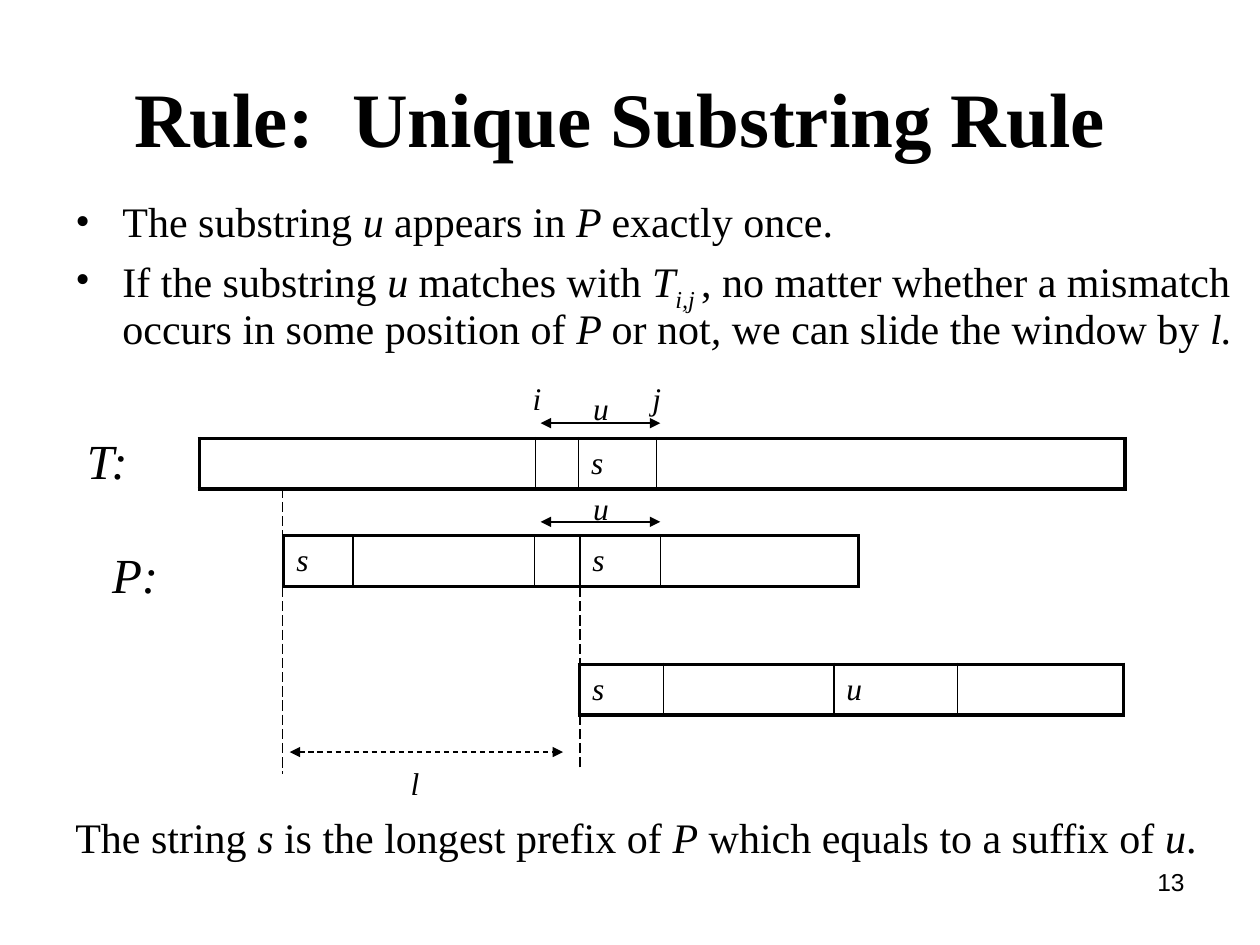
"""Build the slide that explains the unique substring rule for string matching."""
from dataclasses import dataclass

from lxml import etree
from pptx import Presentation
from pptx.dml.color import RGBColor
from pptx.enum.dml import MSO_LINE
from pptx.enum.shapes import MSO_CONNECTOR
from pptx.enum.text import MSO_ANCHOR, PP_ALIGN
from pptx.oxml.ns import qn
from pptx.util import Cm, Pt

STRAIGHT = MSO_CONNECTOR.STRAIGHT
DASH, LONG_DASH = MSO_LINE.DASH, MSO_LINE.LONG_DASH
TOP, MIDDLE = MSO_ANCHOR.TOP, MSO_ANCHOR.MIDDLE
LEFT, CENTER, RIGHT = PP_ALIGN.LEFT, PP_ALIGN.CENTER, PP_ALIGN.RIGHT


@dataclass(frozen=True)
class Theme:
    ink: RGBColor = RGBColor(0, 0, 0)
    serif: str = "Times New Roman"
    sans: str = "Arial"
    title: int = 44
    name: int = 28
    body: int = 24
    label: int = 18
    number: int = 14
    outer: float = 2.25
    inner: float = 1
    line: float = 0.75


THEME = Theme()


def write(p, marked, size, font=THEME.serif, bold=False):
    """Add runs to a paragraph, with italics between asterisks."""
    for i, part in enumerate(marked.split("*")):
        if part:
            r = p.add_run()
            r.text = part
            r.font.name, r.font.size = font, Pt(size)
            r.font.bold, r.font.italic = bold, i % 2 == 1
            r.font.color.rgb = THEME.ink
            if part == "i,j ":
                r._r.get_or_add_rPr().set("baseline", "-25000")


def add_text(left, top, width, height, marked, size, align=LEFT, anchor=TOP, **style):
    """Add a text box with one paragraph and return its text frame."""
    tf = s.shapes.add_textbox(Cm(left), Cm(top), Cm(width), Cm(height)).text_frame
    tf.word_wrap, tf.vertical_anchor = True, anchor
    tf.paragraphs[0].alignment = align
    write(tf.paragraphs[0], marked, size, **style)
    return tf


prs = Presentation()
prs.slide_width, prs.slide_height = Cm(25.4), Cm(19.05)
s = prs.slides.add_slide(prs.slide_layouts[6])

add_text(1.27, 0.76, 22.86, 3.18, "Rule:  Unique Substring Rule ", THEME.title,
         CENTER, MIDDLE, bold=True)
add_text(18.21, 17.35, 5.92, 1.32, "13", THEME.number, RIGHT, font=THEME.sans)

tf = add_text(1.27, 3.94, 24.13, 3.3, "The substring *u* appears in *P *exactly once.", THEME.body)
write(tf.add_paragraph(),
      "If the substring *u* matches with *T**i,j *, no matter whether a mismatch occurs "
      "in some position of *P *or not*, *we can slide the window by *l.*", THEME.body)
for p in tf.paragraphs:
    p.line_spacing, p.space_before = 0.9, Pt(5.5)
    pPr = p._p.get_or_add_pPr()
    pPr.set("marL", str(Cm(0.95)))
    pPr.set("indent", str(-Cm(0.95)))
    etree.SubElement(pPr, qn("a:buFont"), typeface=THEME.serif)
    etree.SubElement(pPr, qn("a:buChar"), char="•")
tf.paragraphs[0].space_before = Pt(0)

add_text(1.5, 8.56, 2, 1.4, "*T:*", THEME.name)
add_text(2.01, 10.85, 2, 1.4, "*P:*", THEME.name)
add_text(1.27, 16.23, 24.13, 1.2,
         "The string *s* is the longest prefix of *P* which equals to a suffix of *u*.", THEME.body)

strings = [
    (4.02, 8.84, [(6.78, ""), (0.86, ""), (1.57, "s"), (9.45, "")]),
    (5.72, 10.8, [(1.4, "s"), (3.66, ""), (0.91, ""), (1.63, "s"), (3.99, "")]),
    (11.68, 13.39, [(1.7, "s"), (3.43, ""), (2.49, "u"), (3.35, "")]),
]
for left, top, parts in strings:
    total = sum(width for width, _ in parts)
    table = s.shapes.add_table(1, len(parts), Cm(left), Cm(top), Cm(total), Cm(1.02)).table
    table.first_row = table.horz_banding = False
    table.rows[0].height = Cm(1.02)
    for i, (width, letter) in enumerate(parts):
        table.columns[i].width = Cm(width)
        cell = table.cell(0, i)
        cell.vertical_anchor = MIDDLE
        write(cell.text_frame.paragraphs[0], f"*{letter}*", THEME.label)
        edges = {
            "a:lnL": THEME.outer if i == 0 else THEME.inner,
            "a:lnR": THEME.outer if i == len(parts) - 1 else THEME.inner,
            "a:lnT": THEME.outer,
            "a:lnB": THEME.outer,
        }
        tcPr = cell._tc.get_or_add_tcPr()
        for tag, weight in edges.items():
            ln = etree.SubElement(tcPr, qn(tag), w=str(Pt(weight)))
            fill = etree.SubElement(ln, qn("a:solidFill"))
            etree.SubElement(fill, qn("a:srgbClr"), val=str(THEME.ink))
        cell.fill.background()

labels = [("i", 10.49, 7.52), ("j", 12.9, 7.52), ("u", 11.71, 7.72),
          ("u", 11.71, 9.73), ("l", 8.03, 15.27)]
for letter, left, top in labels:
    add_text(left, top, 0.74, 1.02, f"*{letter}*", THEME.label)

lines = [
    (5.69, 9.83, 5.69, 15.6, LONG_DASH, False),
    (11.69, 15.47, 11.69, 11.81, LONG_DASH, False),
    (5.84, 15.16, 11.35, 15.16, DASH, True),
    (10.9, 8.53, 13.31, 8.53, None, True),
    (10.9, 10.52, 13.31, 10.52, None, True),
]
for x1, y1, x2, y2, dash, arrows in lines:
    line = s.shapes.add_connector(STRAIGHT, Cm(x1), Cm(y1), Cm(x2), Cm(y2))
    line.line.color.rgb, line.line.width = THEME.ink, Pt(THEME.line)
    if dash:
        line.line.dash_style = dash
    if arrows:
        for end in ("a:headEnd", "a:tailEnd"):
            etree.SubElement(line.line._get_or_add_ln(), qn(end), type="triangle")
    etree.SubElement(line._element.spPr, qn("a:effectLst"))

prs.save("out.pptx")
